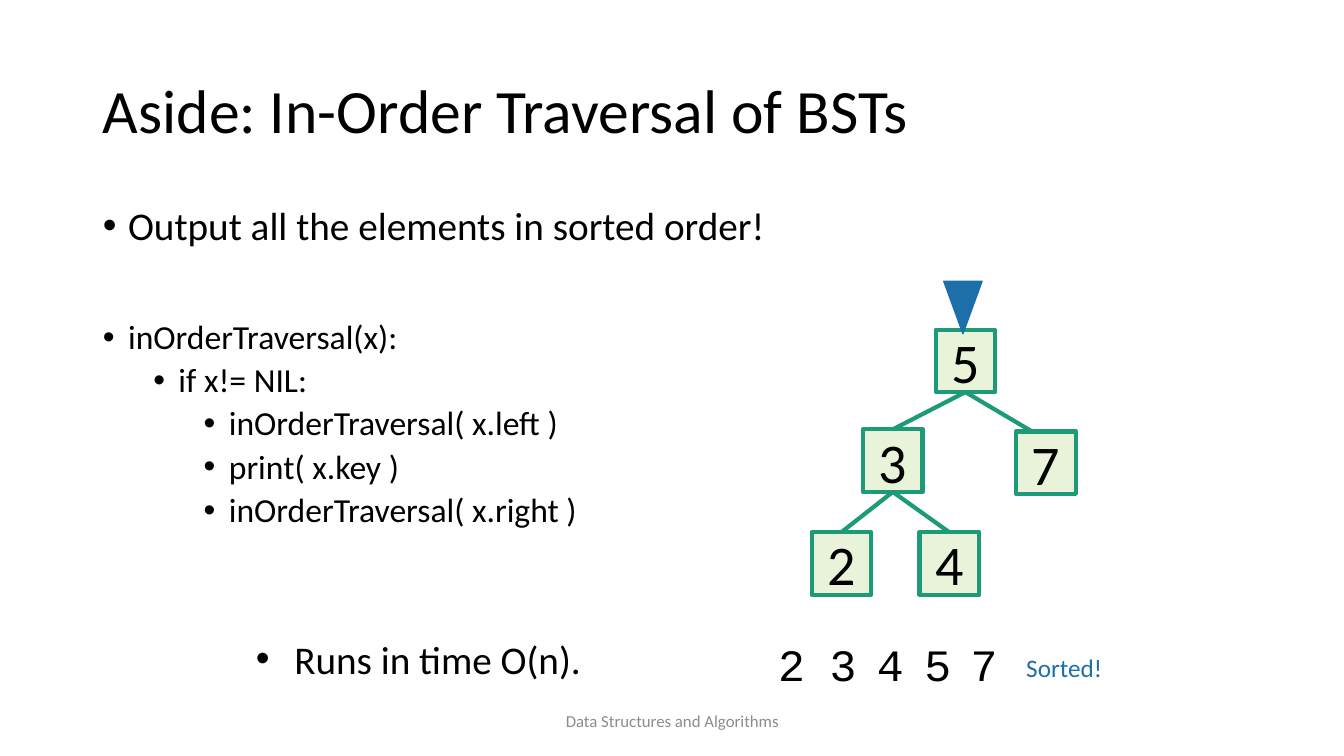
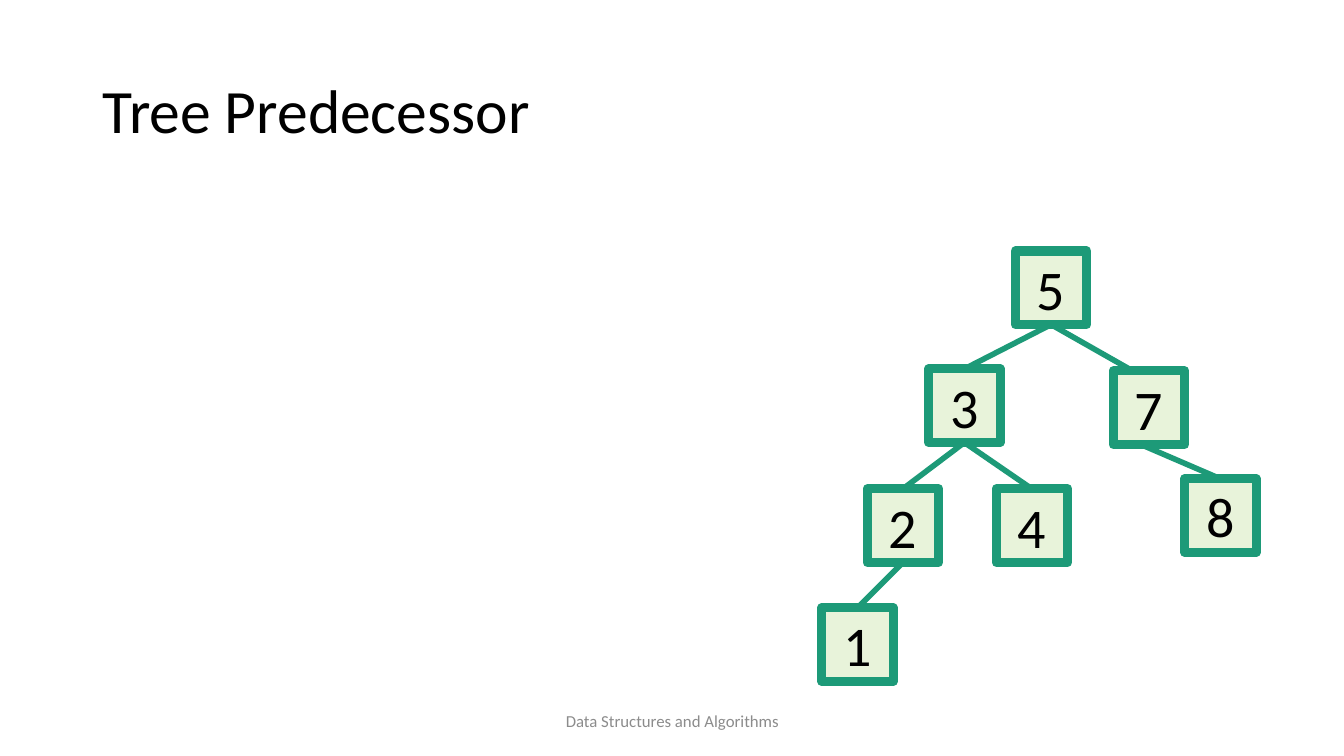
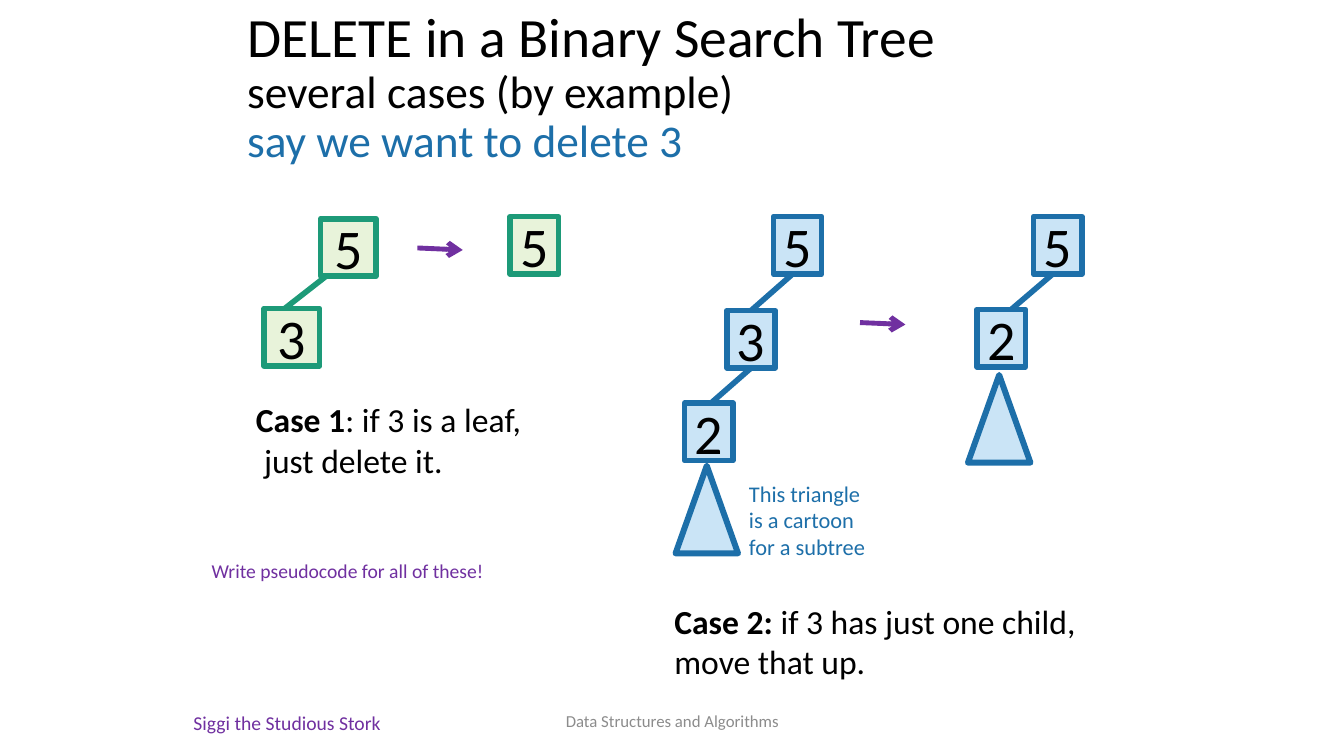
from lxml.etree import SubElement
from pptx import Presentation
from pptx.dml.color import RGBColor
from pptx.enum.shapes import MSO_CONNECTOR, MSO_SHAPE
from pptx.enum.text import MSO_ANCHOR, MSO_AUTO_SIZE, PP_ALIGN
from pptx.oxml.ns import qn
from pptx.util import Inches, Pt

COLORS = {
    "black": "000000", "gray": "8C8C8C", "purple": "7030A0",
    "green": "1D9A78", "pale_green": "E8F3DA",
    "blue": "1D6FA9", "pale_blue": "CAE4F6",
}
TITLE_ONLY, TITLE_AND_BODY = 5, 1
TITLE_BOX = (0.92, 0.4, 11.5, 1.45)
BODY_BOX = (0.92, 2, 11.5, 4.76)
FOOTER = "Data Structures and Algorithms"

# Level, text, size, space before
TRAVERSAL = [
    (0, "Output all the elements in sorted order!", 28, 0),
    (0, "inOrderTraversal(x):", 24, 51),
    (1, "if x!= NIL:", 24, 5),
    (2, "inOrderTraversal( x.left )", 24, 5),
    (2, "print( x.key )", 24, 5),
    (2, "inOrderTraversal( x.right )", 24, 5),
]
SORTED_KEYS = {"2": 7.62, "3": 8.13, "4": 8.6, "5": 9.07, "7": 9.53}

# Nodes map a key to its left and top; edges hold parent, child and
# the sideways shift of each end from the middle of its node
TRAVERSAL_TREE = {
    "color": "green", "node_size": (0.59, 0.62), "border": 3, "edge_width": 3,
    "nodes": {"5": (9.28, 3.27), "3": (8.56, 4.26), "7": (10.08, 4.28),
              "2": (8.05, 5.28), "4": (9.12, 5.28)},
    "edges": [("5", "3", 0, 0), ("5", "7", 0, -0.14),
              ("3", "2", 0, 0), ("3", "4", 0, 0)],
}
PREDECESSOR_TREE = {
    "color": "green", "node_size": (0.71, 0.73), "border": 6.5, "edge_width": 4,
    "nodes": {"5": (10.07, 2.49), "3": (9.21, 3.66), "7": (11.04, 3.68),
              "2": (8.6, 4.85), "4": (9.88, 4.85), "8": (11.75, 4.75),
              "1": (8.15, 6.03)},
    "edges": [("5", "3", 0, 0), ("5", "7", 0, -0.16), ("3", "2", 0, 0),
              ("3", "4", 0, 0), ("7", "8", -0.08, 0), ("2", "1", 0, 0)],
}
SMALL = {"node_size": (0.48, 0.57), "border": 4, "edge_width": 4}
DELETE_TREES = [
    {**SMALL, "color": "green", "node_size": (0.55, 0.57),
     "nodes": {"5": (3.18, 2.17), "3": (2.62, 3.06)},
     "edges": [("5", "3", -0.22, -0.07)]},
    {**SMALL, "color": "green", "nodes": {"5": (5.06, 2.15)}, "edges": []},
    {**SMALL, "color": "blue",
     "nodes": {"5": (7.67, 2.15), "3": (7.21, 3.08), "2": (6.79, 4)},
     "edges": [("5", "3", -0.05, 0), ("3", "2", 0, 0.02)]},
    {**SMALL, "color": "blue",
     "nodes": {"5": (10.25, 2.15), "2": (9.69, 3.07)},
     "edges": [("5", "2", -0.05, 0.1)]},
]
SUBTREES = [(6.7, 4.62), (9.6, 3.72)]
DELETE_ARROWS = [(4.14, 2.46), (8.53, 3.2)]
DELETE_TITLE = [
    ("DELETE in a Binary Search Tree", 39.6, "black"),
    ("several cases (by example)", 32.4, "black"),
    ("say we want to delete 3", 32.4, "blue"),
]
# Box, bold start, rest of first line, second line, indent of second line
CASES = [
    ((2.44, 3.91, 3.28, 0.91), "Case 1", ": if 3 is a leaf,", "just delete it.", 0.08),
    ((6.59, 5.91, 4.39, 0.91), "Case 2:", " if 3 has just one child,", "move that up.", 0),
]
# Text, box, size, color
DELETE_NOTES = [
    ("This triangle is a cartoon for a subtree", (7.33, 4.71, 1.42, 0.91), 16, "blue"),
    ("Siggi the Studious Stork", (1.82, 7, 2.91, 0.34), 14, "purple"),
    ("Write pseudocode for all of these!", (2, 5.5, 3.06, 0.34), 14, "purple"),
]


def inches(values):
    return [Inches(value) for value in values]


def rgb(color):
    return RGBColor.from_string(COLORS[color])


def style_font(font, size, color="black", name="Calibri"):
    font.name, font.size = name, Pt(size)
    font.color.rgb = rgb(color)


def indent(paragraph, left, hanging=0, bullet=None):
    properties = paragraph._p.get_or_add_pPr()
    properties.set("marL", str(Inches(left)))
    properties.set("indent", str(-Inches(hanging)))
    if bullet:
        SubElement(properties, qn("a:buFont"), typeface="Arial")
        SubElement(properties, qn("a:buChar"), char=bullet)


def place(placeholder, box):
    placeholder.left, placeholder.top, placeholder.width, placeholder.height = inches(box)
    placeholder.text_frame.auto_size = MSO_AUTO_SIZE.NONE
    return placeholder.text_frame


def add_text(slide, text, box, size, color="black", name="Calibri"):
    frame = slide.shapes.add_textbox(*inches(box)).text_frame
    frame.word_wrap = True
    frame.text = text
    for paragraph in frame.paragraphs:
        for run in paragraph.runs:
            style_font(run.font, size, color, name)
    return frame


def add_slide(deck, layout, title_lines, title_box=TITLE_BOX):
    """Add a slide with its styled title and the shared footer."""
    slide = deck.slides.add_slide(deck.slide_layouts[layout])
    title = place(slide.shapes.title, title_box)
    title.vertical_anchor = MSO_ANCHOR.MIDDLE
    title.text = "\n".join(text for text, _, _ in title_lines)
    for paragraph, (_, size, color) in zip(title.paragraphs, title_lines):
        paragraph.alignment = PP_ALIGN.LEFT
        paragraph.line_spacing = 0.9
        style_font(paragraph.runs[0].font, size, color)
    footer = add_text(slide, FOOTER, (4.42, 6.95, 4.5, 0.4), 12, "gray")
    footer.vertical_anchor = MSO_ANCHOR.MIDDLE
    footer.paragraphs[0].alignment = PP_ALIGN.CENTER
    return slide


def add_filled(slide, kind, box, fill, border, border_width):
    shape = slide.shapes.add_shape(kind, *inches(box))
    shape.shadow.inherit = False
    shape.fill.solid()
    shape.fill.fore_color.rgb = rgb(fill)
    shape.line.color.rgb = rgb(border)
    shape.line.width = Pt(border_width)
    return shape


def add_line(slide, start, end, color, width, arrow=False):
    line = slide.shapes.add_connector(MSO_CONNECTOR.STRAIGHT, *inches(start + end))
    line.line.color.rgb = rgb(color)
    line.line.width = Pt(width)
    properties = line._element.spPr
    if arrow:
        SubElement(properties.find(qn("a:ln")), qn("a:tailEnd"), type="arrow")
    SubElement(properties, qn("a:effectLst"))


def add_tree(slide, tree):
    color, (width, height), nodes = tree["color"], tree["node_size"], tree["nodes"]
    for key, position in nodes.items():
        node = add_filled(slide, MSO_SHAPE.RECTANGLE, position + (width, height),
                          "pale_" + color, color, tree["border"])
        frame = node.text_frame
        frame.text = key
        frame.vertical_anchor = MSO_ANCHOR.MIDDLE
        frame.paragraphs[0].alignment = PP_ALIGN.CENTER
        style_font(frame.paragraphs[0].runs[0].font, 40)
    for parent, child, start_shift, end_shift in tree["edges"]:
        (parent_x, parent_y), (child_x, child_y) = nodes[parent], nodes[child]
        add_line(slide, (parent_x + width / 2 + start_shift, parent_y + height),
                 (child_x + width / 2 + end_shift, child_y), color, tree["edge_width"])


def build_traversal(deck):
    slide = add_slide(deck, TITLE_AND_BODY,
                      [("Aside: In-Order Traversal of BSTs", 44, "black")])
    body = place(slide.placeholders[1], BODY_BOX)
    body.text = "\n".join(text for _, text, _, _ in TRAVERSAL)
    for paragraph, (level, _, size, space) in zip(body.paragraphs, TRAVERSAL):
        paragraph.level = level
        indent(paragraph, 0.25 + 0.5 * level, 0.25, "•")
        paragraph.line_spacing = 0.9
        paragraph.space_before = Pt(space)
        style_font(paragraph.runs[0].font, size)
    add_tree(slide, TRAVERSAL_TREE)
    pointer = add_filled(slide, MSO_SHAPE.ISOSCELES_TRIANGLE,
                         (9.36, 2.79, 0.38, 0.52), "blue", "blue", 1)
    pointer.rotation = 180
    for key, left in SORTED_KEYS.items():
        add_text(slide, key, (left, 6.27, 0.43, 0.64), 32, name="Courier New")
    add_text(slide, "Sorted!", (10.08, 6.42, 1.41, 0.4), 18, "blue")
    runtime = add_text(slide, "Runs in time O(n).", (2.44, 6.25, 4.12, 0.57), 28)
    indent(runtime.paragraphs[0], 0.38, 0.38, "•")


def build_predecessor(deck):
    slide = add_slide(deck, TITLE_ONLY, [("Tree Predecessor", 44, "black")])
    add_tree(slide, PREDECESSOR_TREE)


def build_delete(deck):
    slide = add_slide(deck, TITLE_ONLY, DELETE_TITLE, (2.35, 0.03, 8.62, 1.7))
    for tree in DELETE_TREES:
        add_tree(slide, tree)
    for position in SUBTREES:
        add_filled(slide, MSO_SHAPE.ISOSCELES_TRIANGLE, position + (0.62, 0.87),
                   "pale_blue", "blue", 4.25)
    for x, y in DELETE_ARROWS:
        add_line(slide, (x, y), (x + 0.45, y + 0.02), "purple", 3.5, arrow=True)
    for box, label, condition, action, action_indent in CASES:
        case = add_text(slide, f"{label}\n{action}", box, 24)
        first, second = case.paragraphs
        first.runs[0].font.bold = True
        rest = first.add_run()
        rest.text = condition
        style_font(rest.font, 24)
        indent(second, action_indent)
    for note in DELETE_NOTES:
        add_text(slide, *note)


def main():
    deck = Presentation()
    deck.slide_width, deck.slide_height = Inches(13.33), Inches(7.5)
    build_traversal(deck)
    build_predecessor(deck)
    build_delete(deck)
    deck.save("out.pptx")


if __name__ == "__main__":
    main()
